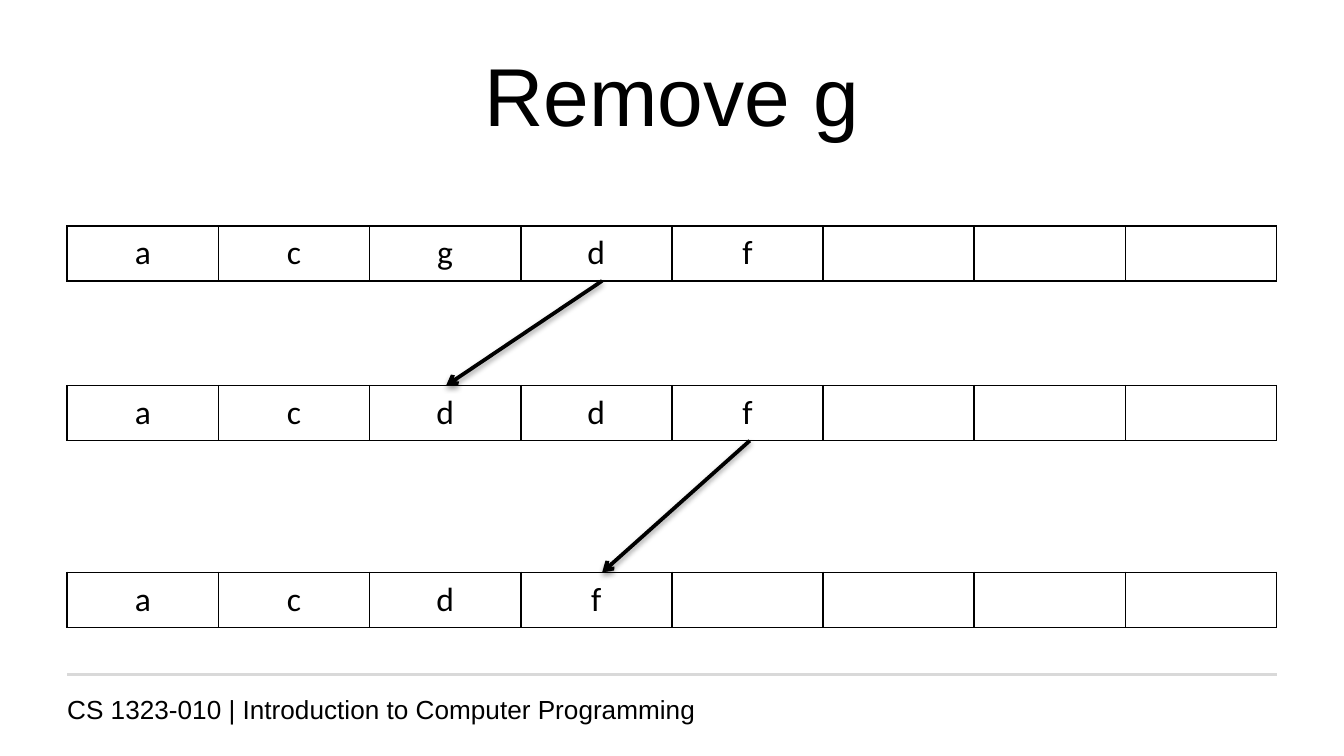
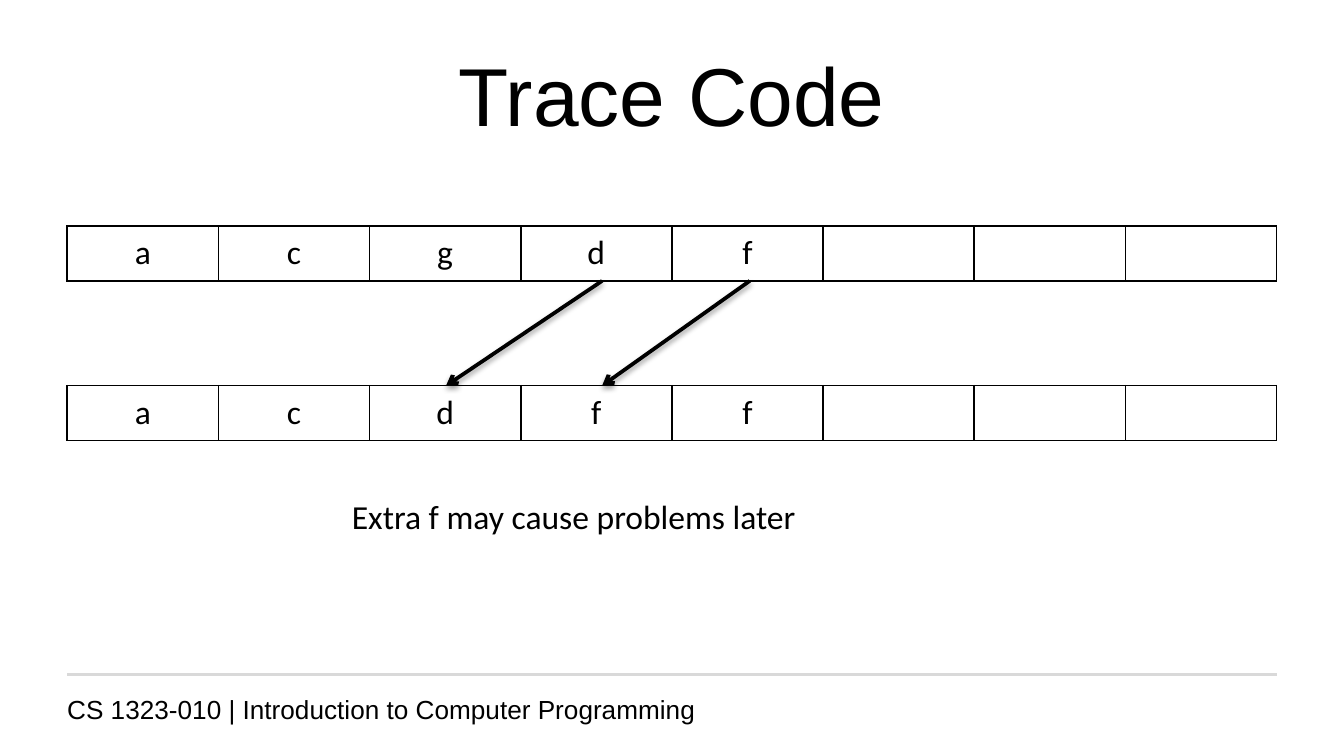
from dataclasses import dataclass

from lxml.etree import SubElement
from pptx import Presentation
from pptx.dml.color import RGBColor
from pptx.enum.shapes import MSO_CONNECTOR
from pptx.enum.text import MSO_ANCHOR, PP_ALIGN
from pptx.oxml import parse_xml
from pptx.oxml.ns import nsdecls, qn
from pptx.shapes.connector import Connector
from pptx.slide import Slide
from pptx.text.text import TextFrame
from pptx.util import Cm, Pt

COLORS = {"text": "000000", "border": "000000", "rule": "D9D9D9"}
HEADING_FONT, BODY_FONT = "Arial", "Calibri"
FOOTER = "CS 1323-010 | Introduction to Computer Programming"

# Shared geometry, in centimetres
MARGIN, CONTENT_W = 1.27, 22.86
SLOTS, ROW_H = 8, 1.04
ROW_TOPS = (4.27, 7.29, 10.82)
ARROW_X = {2: 8.43, 3: 11.38, 4: 14.17}  # arrow position for each slot


@dataclass
class Move:
    """Shift of one element from a slot in a row to a slot in the next row."""
    row: int
    start: int
    end: int


@dataclass
class ArraySlide:
    title: str
    rows: tuple[str, ...]
    moves: tuple[Move, ...]
    remark: str = ""


SLIDES = (
    ArraySlide("Remove g", ("acgdf", "acddf", "acdf"),
               (Move(0, 3, 2), Move(1, 4, 3))),
    ArraySlide("Trace Code", ("acgdf", "acdff"),
               (Move(0, 3, 2), Move(0, 4, 3)),
               "Extra f may cause problems later"),
)


def write(tf: TextFrame, text: str, font: str, size: float,
          align: PP_ALIGN = PP_ALIGN.LEFT) -> None:
    tf.text = text
    p = tf.paragraphs[0]
    p.alignment = align
    for r in p.runs:
        r.font.name = font
        r.font.size = Pt(size)
        r.font.color.rgb = RGBColor.from_string(COLORS["text"])


def add_text(s: Slide, box: tuple[float, float, float, float], text: str,
             font: str, size: float, align: PP_ALIGN = PP_ALIGN.LEFT,
             anchor: MSO_ANCHOR = MSO_ANCHOR.TOP, wrap: bool = True) -> None:
    tf = s.shapes.add_textbox(*map(Cm, box)).text_frame
    tf.word_wrap = wrap
    tf.vertical_anchor = anchor
    write(tf, text, font, size, align)


def add_line(s: Slide, start: tuple[float, float], end: tuple[float, float],
             color: str) -> Connector:
    sp = s.shapes.add_connector(MSO_CONNECTOR.STRAIGHT,
                                *map(Cm, start + end))
    sp.line.color.rgb = RGBColor.from_string(color)
    sp.line.width = Pt(2)
    SubElement(sp._element.spPr, qn("a:effectLst"))
    return sp


def add_arrow(s: Slide, move: Move) -> None:
    sp = add_line(s, (ARROW_X[move.start], ROW_TOPS[move.row] + ROW_H),
                  (ARROW_X[move.end], ROW_TOPS[move.row + 1]),
                  COLORS["border"])
    SubElement(sp.line._get_or_add_ln(), qn("a:tailEnd"), type="arrow")
    # Soft shadow below the arrow
    effects = sp._element.spPr.find(qn("a:effectLst"))
    shadow = SubElement(effects, qn("a:outerShdw"), blurRad=str(Pt(3.1)),
                        dist=str(Pt(1.6)), dir="5400000", rotWithShape="0")
    color = SubElement(shadow, qn("a:srgbClr"), val=COLORS["border"])
    SubElement(color, qn("a:alpha"), val="38000")


def add_array(s: Slide, top: float, letters: str) -> None:
    table = s.shapes.add_table(1, SLOTS, Cm(MARGIN), Cm(top), Cm(CONTENT_W),
                               Cm(ROW_H)).table
    table.first_row = table.horz_banding = False
    for cell, letter in zip(table.iter_cells(), letters.ljust(SLOTS)):
        write(cell.text_frame, letter.strip(), BODY_FONT, 18,
              PP_ALIGN.CENTER)
        cell.fill.background()
        tcPr = cell._tc.get_or_add_tcPr()
        for i, side in enumerate("LRTB"):
            tcPr.insert(i, parse_xml(
                f'<a:ln{side} {nsdecls("a")} w="{Pt(1)}"><a:solidFill>'
                f'<a:srgbClr val="{COLORS["border"]}"/></a:solidFill>'
                f'</a:ln{side}>'))


def add_frame(s: Slide, title: str) -> None:
    # Footer with its rule
    add_text(s, (1.02, 12.98, CONTENT_W, 0.53), FOOTER, HEADING_FONT, 14)
    add_line(s, (MARGIN, 12.75), (MARGIN + CONTENT_W, 12.75), COLORS["rule"])
    # Title
    add_text(s, (MARGIN, 0.58, CONTENT_W, 2.39), title, HEADING_FONT, 44,
             PP_ALIGN.CENTER, MSO_ANCHOR.MIDDLE)


def build_slide(s: Slide, content: ArraySlide) -> None:
    add_frame(s, content.title)
    for top, letters in zip(ROW_TOPS, content.rows):
        add_array(s, top, letters)
    for move in content.moves:
        add_arrow(s, move)
    if content.remark:
        add_text(s, (6.4, 9.25, 9.04, 1.02), content.remark, BODY_FONT, 18,
                 wrap=False)


prs = Presentation()
prs.slide_width, prs.slide_height = Cm(25.4), Cm(14.29)
for content in SLIDES:
    build_slide(prs.slides.add_slide(prs.slide_layouts[6]), content)
prs.save("out.pptx")
